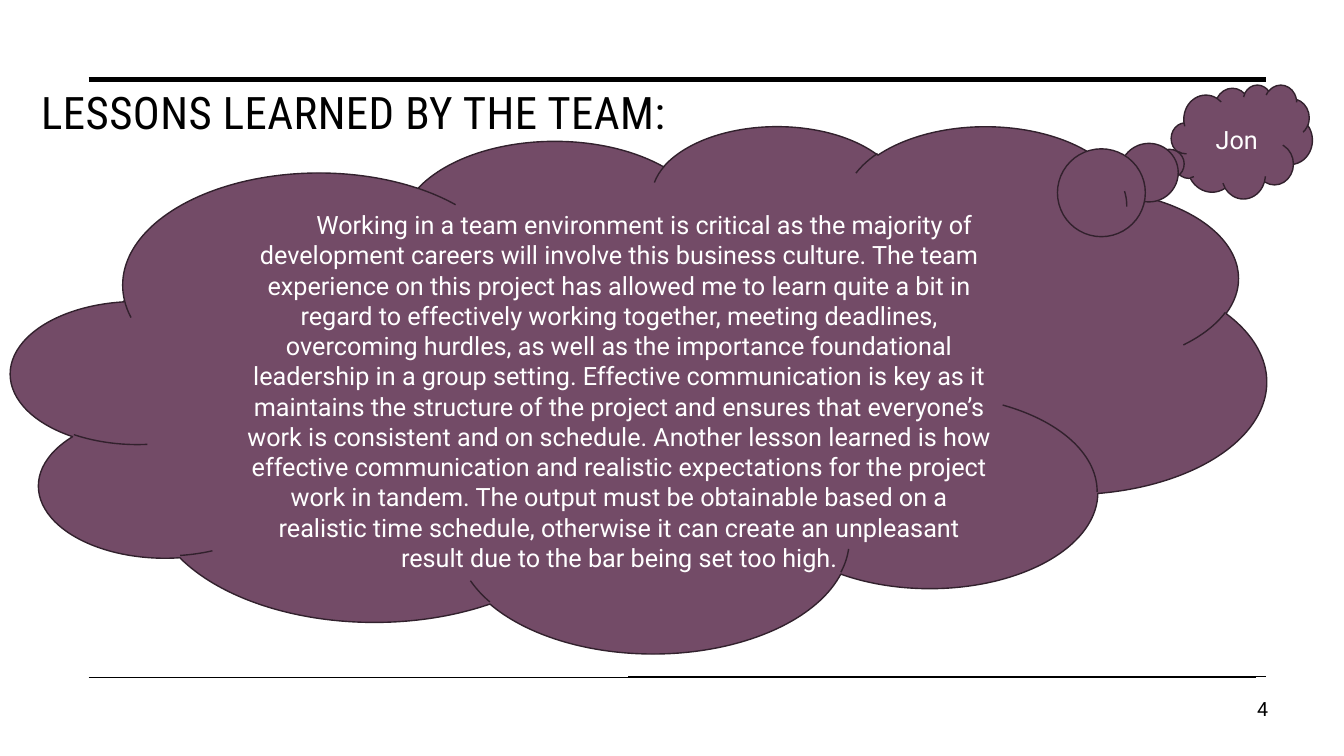
from dataclasses import dataclass

from lxml.etree import SubElement
from pptx import Presentation
from pptx.dml.color import RGBColor as Rgb
from pptx.enum.shapes import MSO_CONNECTOR as Link, MSO_SHAPE as Kind
from pptx.enum.text import MSO_ANCHOR as Anchor, PP_ALIGN as Align
from pptx.oxml.ns import qn
from pptx.util import Inches, Pt


@dataclass(frozen=True)
class Theme:
    ink: str = "000000"
    pale: str = "FFFFFF"
    plum: str = "734B67"
    edge: str = "32212D"
    font: str = "Roboto"
    head: str = "Roboto Condensed"
    title: int = 32
    body: int = 18
    note: int = 14
    thick: float = 3.5
    thin: float = 1


LESSON = (
    "\tWorking in a team environment is critical as the majority of development "
    "careers will involve this business culture. The team experience on this "
    "project has allowed me to learn quite a bit in regard to effectively working "
    "together, meeting deadlines, overcoming hurdles, as well as the importance "
    "foundational leadership in a group setting. Effective communication is key as "
    "it maintains the structure of the project and ensures that everyone’s work is "
    "consistent and on schedule. Another lesson learned is how effective "
    "communication and realistic expectations for the project work in tandem. The "
    "output must be obtainable based on a realistic time schedule, otherwise it can "
    "create an unpleasant result due to the bar being set too high."
)


def write(shape, text, *, font, size, color, align=Align.LEFT,
          anchor=Anchor.TOP, level=0, margin=0, space=0):
    frame = shape.text_frame
    frame.word_wrap = True
    frame.vertical_anchor = anchor
    para = frame.paragraphs[0]
    para.alignment = align
    para.level = level
    if margin:
        props = para._p.get_or_add_pPr()
        props.set("marL", str(Inches(margin)))
        props.set("indent", "0")
    run = para.add_run()
    run.text = text
    run.font.name = font
    run.font.size = Pt(size)
    run.font.color.rgb = Rgb.from_string(color)
    if space:
        run._r.get_or_add_rPr().set("spc", str(round(space * 100)))


class Board:
    """Draws on one slide; every length is a percentage of the slide's size."""

    def __init__(self, deck, theme):
        self.deck, self.theme = deck, theme
        self.slide = deck.slides.add_slide(deck.slide_layouts[6])

    def place(self, x, y):
        return (round(self.deck.slide_width * x / 100),
                round(self.deck.slide_height * y / 100))

    def rule(self, left, right, y, width):
        line = self.slide.shapes.add_connector(
            Link.STRAIGHT, *self.place(left, y), *self.place(right, y))
        line.line.color.rgb = Rgb.from_string(self.theme.ink)
        line.line.width = Pt(width)
        SubElement(line._element.spPr, qn("a:effectLst"))

    def cloud(self, kind, x, y, w, h, text, tail=(), **form):
        look = self.theme
        shape = self.slide.shapes.add_shape(
            kind, *self.place(x, y), *self.place(w, h))
        shape.shadow.inherit = False
        shape.fill.solid()
        shape.fill.fore_color.rgb = Rgb.from_string(look.plum)
        shape.line.color.rgb = Rgb.from_string(look.edge)
        shape.line.width = Pt(look.thin)
        for spot, value in enumerate(tail):
            shape.adjustments[spot] = value
        write(shape, text, font=look.font, size=look.body, color=look.pale,
              align=Align.CENTER, **form)

    def label(self, x, y, w, h, text, **form):
        box = self.slide.shapes.add_textbox(*self.place(x, y), *self.place(w, h))
        write(box, text, color=self.theme.ink, **form)


def main():
    deck = Presentation()
    deck.slide_width, deck.slide_height = Inches(13.33), Inches(7.5)
    theme = Theme()
    board = Board(deck, theme)

    # Frame rules: two overlapping spans, each with a top and a bottom line
    for left, right, base in ((6.6, 93.45, 89.6), (46.73, 94.2, 89.47)):
        board.rule(left, right, 10.53, theme.thick)
        board.rule(left, right, base, theme.thin)

    # Speaker and page number
    board.cloud(Kind.CLOUD, 87.15, 11.2, 10.5, 15.07, "Jon",
                anchor=Anchor.MIDDLE)
    board.label(89.55, 91.47, 5.55, 8.53, "4", font=theme.font,
                size=theme.note, align=Align.RIGHT)

    # Thought cloud, its tail pointing at the speaker
    board.cloud(Kind.CLOUD_CALLOUT, 0.83, 16.53, 93.38, 69.73, LESSON,
                tail=(0.423, -0.426), level=1, margin=0.5)

    # Title
    board.label(2.33, 10.53, 50.93, 29.07, "LESSONS LEARNED BY THE TEAM:",
                font=theme.head, size=theme.title, space=0.3)

    deck.save("out.pptx")


if __name__ == "__main__":
    main()
